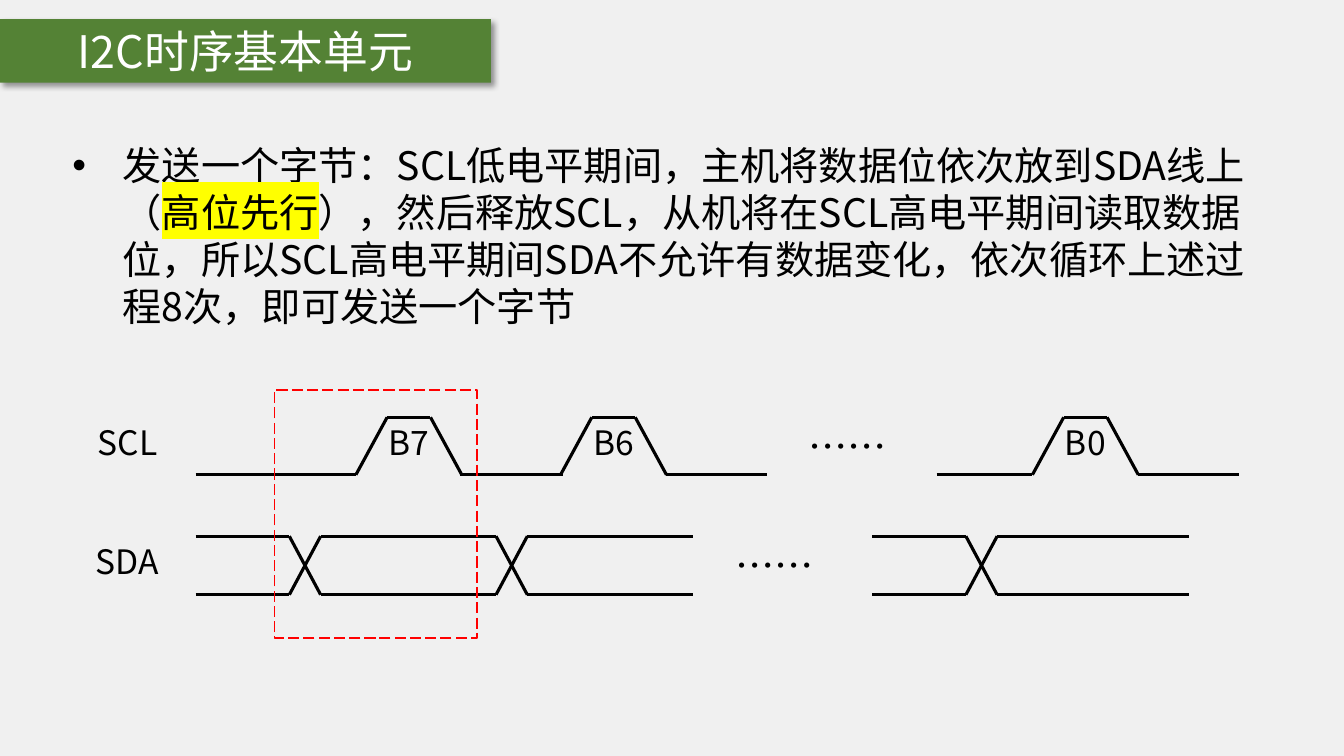
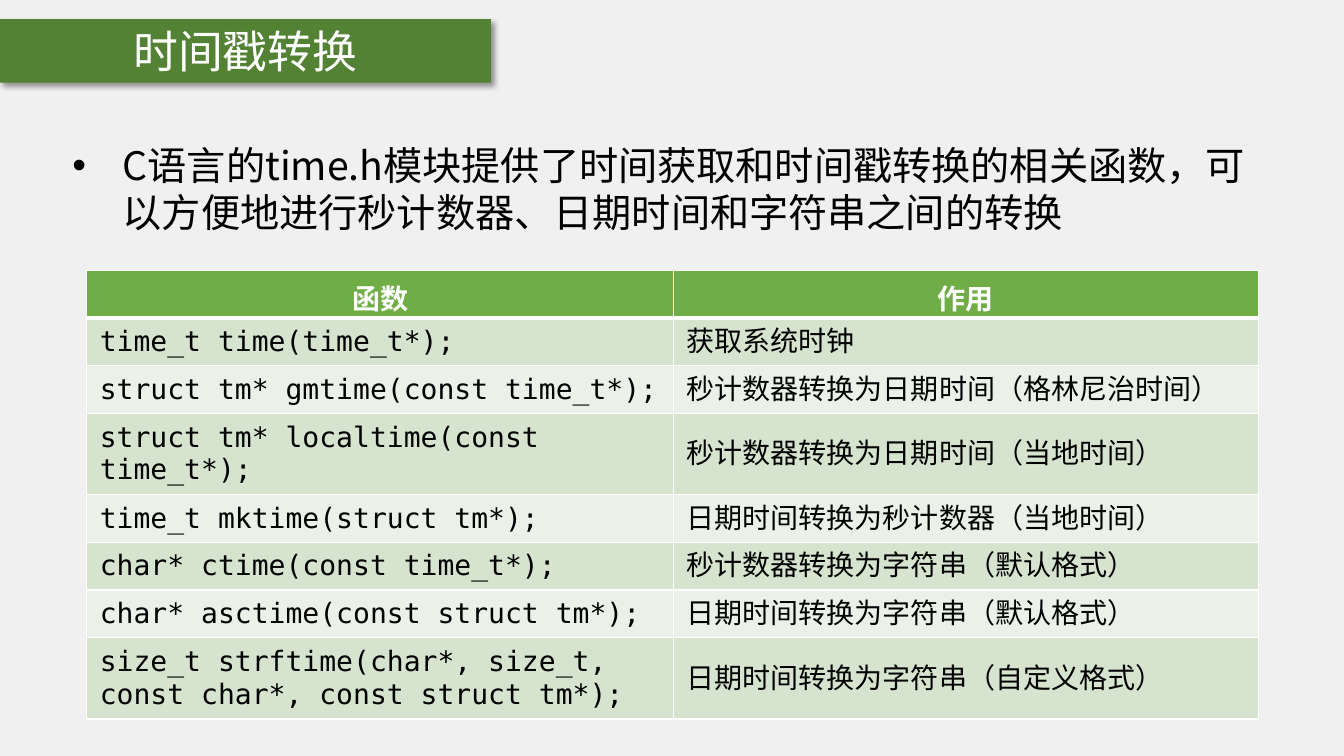
"""Build two slides: the I2C byte timing and the time.h function table."""
from itertools import pairwise
from lxml.etree import SubElement
from pptx import Presentation
from pptx.dml.color import RGBColor
from pptx.enum.dml import MSO_LINE
from pptx.enum.shapes import MSO_CONNECTOR, MSO_SHAPE
from pptx.enum.text import MSO_ANCHOR, MSO_AUTO_SIZE, PP_ALIGN
from pptx.oxml.ns import qn
from pptx.util import Inches, Pt

SANS = "Noto Sans CJK SC"
MONO = "DejaVu Sans Mono"
BLACK, WHITE, RED = "000000", "FFFFFF", "FF0000"
GREEN, HEAD, YELLOW = "548235", "70AD47", "FFFF00"
BANDS = ("D5E3CF", "EBF1E9")


def paint(fill, color):
    """Give a fill one solid colour."""
    fill.solid()
    fill.fore_color.rgb = RGBColor.from_string(color)


def write(frame, text, size=24, color=BLACK, font=SANS, bold=False, align=PP_ALIGN.CENTER, mark=None):
    """Add a formatted run to the first paragraph of a frame."""
    frame.word_wrap = True
    para = frame.paragraphs[0]
    para.alignment = align
    run = para.add_run()
    run.text = text
    run.font.size = Pt(size)
    run.font.bold = bold
    paint(run.font.fill, color)
    props = run.font._element
    if mark:
        SubElement(SubElement(props, qn("a:highlight")), qn("a:srgbClr"), val=mark)
    run.font.name = font
    SubElement(props, qn("a:ea"), typeface=font)


prs = Presentation()
prs.slide_width, prs.slide_height = Inches(13.33), Inches(7.5)
paint(prs.slide_master.background.fill, "F0F0F0")

pages = [
    ("I2C时序基本单元", 1.99, [
        ("发送一个字节：SCL低电平期间，主机将数据位依次放到SDA线上（", None),
        ("高位先行", YELLOW),
        ("），然后释放SCL，从机将在SCL高电平期间读取数据位，所以SCL高电平期间SDA不允许有数据变化，"
         "依次循环上述过程8次，即可发送一个字节", None),
    ]),
    ("时间戳转换", 1.04, [
        ("C语言的time.h模块提供了时间获取和时间戳转换的相关函数，"
         "可以方便地进行秒计数器、日期时间和字符串之间的转换", None),
    ]),
]
for name, height, parts in pages:
    slide = prs.slides.add_slide(prs.slide_layouts[5])
    title = slide.shapes.title
    title.left, title.top = Inches(0), Inches(0.19)
    title.width, title.height = Inches(4.87), Inches(0.63)
    title.text_frame.auto_size = MSO_AUTO_SIZE.NONE
    title.text_frame.vertical_anchor = MSO_ANCHOR.MIDDLE
    write(title.text_frame, name, size=32, color=WHITE)
    paint(title.fill, GREEN)
    title.line.fill.background()
    glow = SubElement(title._element.spPr, qn("a:effectLst"))
    shade = SubElement(glow, qn("a:outerShdw"), blurRad=str(Pt(4)), dist=str(Pt(3)),
                       dir="2700000", algn="tl", rotWithShape="0")
    tint = SubElement(shade, qn("a:srgbClr"), val=BLACK)
    SubElement(tint, qn("a:alpha"), val="40000")

    body = slide.shapes.add_textbox(Inches(0.62), Inches(1.35), Inches(12.08), Inches(height))
    props = body.text_frame.paragraphs[0]._p.get_or_add_pPr()
    props.set("marL", str(Inches(0.5)))
    props.set("indent", str(Inches(-0.5)))
    SubElement(props, qn("a:buFont"), typeface="Arial")
    SubElement(props, qn("a:buChar"), char="•")
    for text, mark in parts:
        write(body.text_frame, text, size=28, align=PP_ALIGN.LEFT, mark=mark)

wave, chart = prs.slides

HIGH, LOW = 4.14, 4.71
UP, DOWN = 5.32, 5.9
SLOPE, FLAT = 0.31, 0.43
paths = []
labels = [("SCL", 0.62, HIGH, 1.29, 24), ("SDA", 0.62, UP, 1.29, 24),
          ("……", 7.76, HIGH, 1.29, 28), ("……", 7.04, UP, 1.29, 28)]
for bit, start, peak, end in [("B7", 1.94, 3.84, 5.58), ("B6", 4.56, 5.87, 7.61), ("B0", 9.29, 10.55, 12.29)]:
    fall = peak + FLAT
    paths.append([(start, LOW), (peak - SLOPE, LOW), (peak, HIGH),
                  (fall, HIGH), (fall + SLOPE, LOW), (end, LOW)])
    labels.append((bit, peak - 0.25, HIGH, 0.93, 24))
for start, end in [(1.94, 4.18), (3.99, 6.87), (8.65, 11.79)]:
    cross = start + 0.93
    for near, far in [(UP, DOWN), (DOWN, UP)]:
        paths.append([(start, near), (cross, near), (cross + SLOPE, far), (end, far)])

for points in paths:
    for (x1, y1), (x2, y2) in pairwise(points):
        line = wave.shapes.add_connector(MSO_CONNECTOR.STRAIGHT, Inches(x1), Inches(y1), Inches(x2), Inches(y2))
        paint(line.line.fill, BLACK)
        line.line.width = Pt(2.25)
        SubElement(line._element.spPr, qn("a:effectLst"))

for text, left, top, width, size in labels:
    box = wave.shapes.add_textbox(Inches(left), Inches(top), Inches(width), Inches(0.5))
    write(box.text_frame, text, size=size)

frame = wave.shapes.add_shape(MSO_SHAPE.RECTANGLE, Inches(2.72), Inches(3.87), Inches(2.01), Inches(2.46))
frame.shadow.inherit = False
frame.fill.background()
paint(frame.line.fill, RED)
frame.line.width = Pt(1)
frame.line.dash_style = MSO_LINE.LONG_DASH

rows = [
    ("函数", "作用"),
    ("time_t time(time_t*);", "获取系统时钟"),
    ("struct tm* gmtime(const time_t*);", "秒计数器转换为日期时间（格林尼治时间）"),
    ("struct tm* localtime(const time_t*);", "秒计数器转换为日期时间（当地时间）"),
    ("time_t mktime(struct tm*);", "日期时间转换为秒计数器（当地时间）"),
    ("char* ctime(const time_t*);", "秒计数器转换为字符串（默认格式）"),
    ("char* asctime(const struct tm*);", "日期时间转换为字符串（默认格式）"),
    ("size_t strftime(char*, size_t, const char*, const struct tm*);", "日期时间转换为字符串（自定义格式）"),
]
table = chart.shapes.add_table(len(rows), 2, Inches(0.86), Inches(2.68), Inches(11.62), Inches(3.68)).table
table.columns[0].width, table.columns[1].width = Inches(5.82), Inches(5.8)
for r, row in enumerate(rows):
    table.rows[r].height = Inches(0.46)
    for c, text in enumerate(row):
        cell = table.cell(r, c)
        cell.vertical_anchor = MSO_ANCHOR.MIDDLE
        cell.margin_left = cell.margin_right = Inches(0.13)
        cell.margin_top = cell.margin_bottom = Inches(0.07)
        for side in "LRTB":
            thick = (r, side) in [(0, "B"), (1, "T")]
            edge = SubElement(cell._tc.get_or_add_tcPr(), qn(f"a:ln{side}"), w=str(Pt(3 if thick else 1)))
            SubElement(SubElement(edge, qn("a:solidFill")), qn("a:srgbClr"), val=WHITE)
        if r == 0:
            paint(cell.fill, HEAD)
            write(cell.text_frame, text, size=20, color=WHITE, bold=True)
        else:
            paint(cell.fill, BANDS[(r - 1) % 2])
            write(cell.text_frame, text, size=20, font=MONO, align=PP_ALIGN.LEFT)

prs.save("out.pptx")
